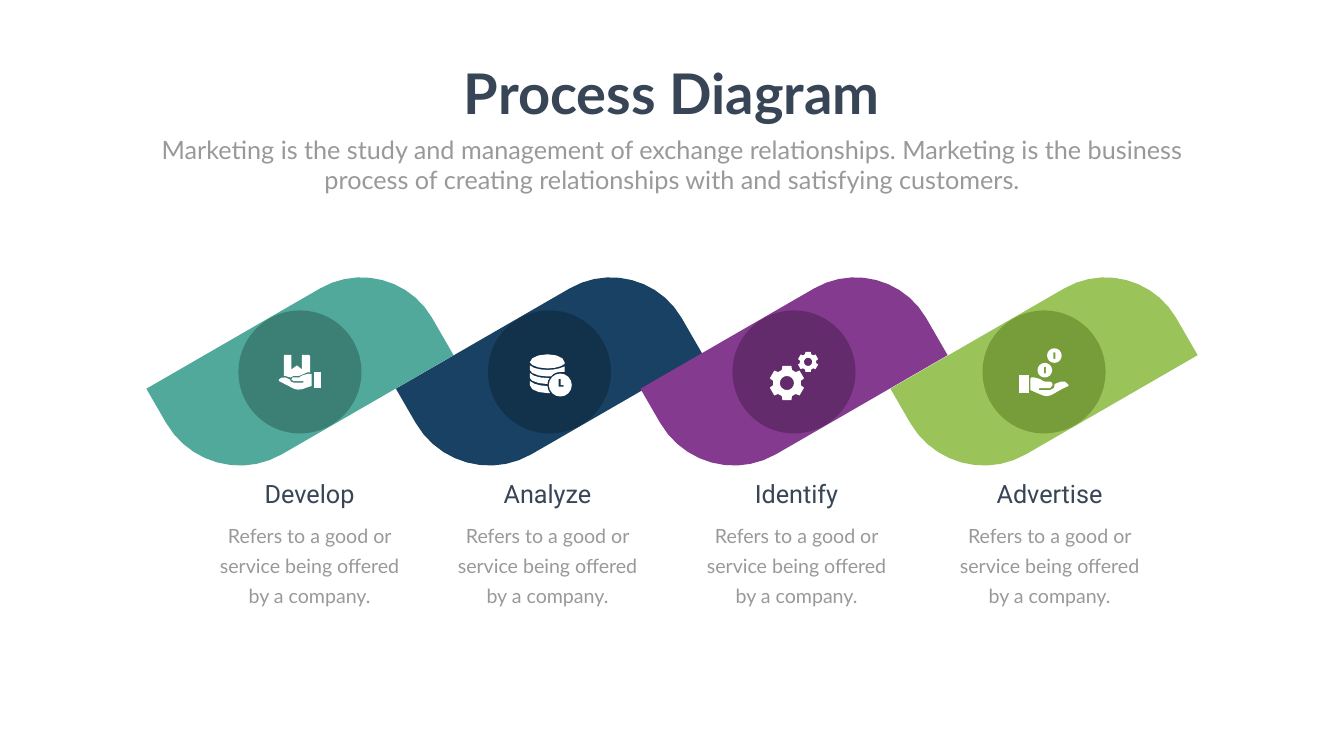
from collections import namedtuple
from dataclasses import dataclass
from math import cos, dist, pi, sin

from pptx import Presentation
from pptx.dml.color import RGBColor
from pptx.enum.shapes import MSO_SHAPE as Preset
from pptx.enum.text import MSO_ANCHOR as Anchor, MSO_AUTO_SIZE as AutoSize, PP_ALIGN as Align
from pptx.util import Inches, Pt


@dataclass(frozen=True)
class Theme:
    background: str = "FEFFFE"
    dark: str = "374556"
    grey: str = "999999"
    icon: str = "FFFFFF"
    text_font: str = "Lato"
    label_font: str = "Roboto"
    title_size: int = 80
    label_size: int = 36
    body_size: int = 28
    body_line: int = 43


THEME = Theme()
WIDTH, HEIGHT = 26.66, 15
UNIT = Inches(0.01)  # outlines are measured in hundredths of an inch
ROW, DISC = 7.38, 2.44  # centre line of the steps, size of their discs
Step = namedtuple("Step", "label centre text_centre leaf disc icon")


# Outlines: a pair is a line end, six numbers are a curve's controls and end
def trace(*moves):
    points = []
    for move in moves:
        if len(move) == 2:
            points.append(move)
            continue
        start, first, second, end = points[-1], move[:2], move[2:4], move[4:]
        parts = 2 + min(8, int(dist(start, end) / 20))
        for t in (part / parts for part in range(1, parts + 1)):
            weights = (1 - t) ** 3, 3 * t * (1 - t) ** 2, 3 * t * t * (1 - t), t ** 3
            points.append(tuple(sum(w * p[axis] for w, p in zip(weights, (start, first, second, end)))
                                for axis in (0, 1)))
    return points


def circle(x, y, radius):
    angles = [pi * part / 8 for part in range(16)]
    return [(x + radius * cos(a), y + radius * sin(a)) for a in angles]


def bar(left, top, right, bottom):
    return [(left, top), (right, top), (right, bottom), (left, bottom)]


def gear(x, y, radius):
    """Six equal teeth around a round hole."""
    size, rim = radius / 34, []
    for turn in range(6):
        c, s = cos(turn * pi / 3), sin(turn * pi / 3)
        rim += [(x + size * (c * px - s * py), y + size * (s * px + c * py))
                for px, py in ((-10, -26), (-9, -34), (9, -34), (10, -26))]
    return [rim, circle(x, y, 14 * size)]


def coin(x, y):
    return [circle(x, y, 14.5), bar(x - 2, y - 6.5, x + 2, y + 6.5)]


LEAF = trace((38, -280.5), (123.5, -280.5), (123.5, 113), (123.5, 206, 47, 280.5, -45, 280.5),
             (-123.5, 280.5), (-123.5, -118), (-123.5, -207, -51, -280.5, 38, -280.5))

# Icons: each part is a list of contours, centred on its disc
PACKAGE_IN_HAND = [
    [bar(27, 1, 41, 32)],
    [trace((18, -34), (4, -34), (4, -5), (-6, -13), (-17, -5), (-17, -34), (-31, -34), (-32, -32),
           (-32, 8), (-29, 8), (-19, 11), (-13, 8), (-2, 8), (14, 1), (20, 1), (20, -32))],
    [trace((23, 4), (15, 4), (9, 4, 3, 8, 1, 9), (-1, 11), (-15, 11), (-17, 15), (-13, 18), (6, 18),
           (8, 20), (6, 21), (-13, 21), (-17, 21, -20, 18, -20, 15), (-29, 11),
           (-35, 10, -38, 11, -42, 15), (-42, 18), (-35, 21, -29, 25, -24, 27),
           (-14, 33, -9, 35, -4, 35), (2, 35, 6, 34, 16, 30), (23, 28))],
]
DATABASE_CLOCK = [
    [trace((-4, 24), (-4, 20, -3, 15, 0, 12), (-4, 12), (-18, 12, -33, 9, -39, 2), (-39, 12),
           (-39, 17, -23, 24, -4, 24))],
    [trace((-4, 9), (3, 9), (7, 3, 14, 0, 22, 0), (30, 0), (30, -11), (22, -7, 9, -4, -4, -4),
           (-18, -4, -33, -7, -39, -13), (-39, -4), (-39, 2, -23, 9, -4, 9))],
    [trace((-4, -7), (11, -7, 25, -11, 30, -16), (30, -19), (30, -28, 15, -35, -4, -35),
           (-23, -35, -39, -28, -39, -19), (-39, -14, -23, -7, -4, -7))],
    [trace((-4, 28), (-18, 28, -33, 24, -39, 18), (-39, 26), (-39, 35, -23, 42, -4, 42),
           (1, 42), (-2, 37, -4, 33, -4, 28))],
    [circle(21.5, 26, 22.75), [(28, 29), (18, 29), (18, 14), (22, 14), (22, 26), (28, 26)]],
]
GEARS = [gear(-14, 22, 34), gear(28, -20, 20)]
COINS_ON_HAND = [
    [bar(-50, 7, -29, 42)],
    [trace((48, 25), (44, 19, 40, 18, 34, 19), (21, 24), (21, 29, 21, 36, 12, 36), (-9, 36),
           (-11, 34), (-9, 32), (12, 32), (17, 26), (17, 24, 16, 19, 12, 19), (1, 19), (-2, 18),
           (-4, 17, -10, 11, -19, 11), (-25, 11), (-27, 13), (-27, 36), (-11, 43),
           (-3, 47, 2, 48, 6, 48), (11, 48, 15, 46, 23, 41), (28, 38, 37, 33, 48, 28), (49, 26))],
    coin(20.5, -32.5),
    coin(1.5, -3.5),
]

STEPS = [
    Step("Develop", 5.95, 6.14, "50A99B", "3C7F74", PACKAGE_IN_HAND),
    Step("Analyze", 10.9, 10.86, "184163", "12314A", DATABASE_CLOCK),
    Step("Identify", 15.75, 15.8, "843A8E", "632B6B", GEARS),
    Step("Advertise", 20.71, 20.82, "9AC35A", "769D39", COINS_ON_HAND),
]


def paint(shape, color):
    shape.shadow.inherit = False
    shape.fill.solid()
    shape.fill.fore_color.rgb = RGBColor.from_string(color)
    shape.line.fill.background()


def add_outline(shapes, x, contours, color):
    """Fill closed contours around a point on the centre line."""
    placed = [[(Inches(x) + px * UNIT, Inches(ROW) + py * UNIT) for px, py in contour]
              for contour in contours]
    builder = shapes.build_freeform(*placed[0][0])
    for number, contour in enumerate(placed):
        if number:
            builder.move_to(*contour[0])
        builder.add_line_segments(contour[1:], close=True)
    shape = builder.convert_to_shape()
    paint(shape, color)
    return shape


def add_disc(page, step):
    disc = page.shapes.add_shape(Preset.OVAL, Inches(step.centre - DISC / 2), Inches(ROW - DISC / 2),
                                 Inches(DISC), Inches(DISC))
    paint(disc, step.disc)


def add_icon(page, step):
    group = page.shapes.add_group_shape()
    for contours in step.icon:
        add_outline(group.shapes, step.centre, contours, THEME.icon)


def write(box, text, font, size, color, bold=False, wrap=True):
    frame = box.text_frame
    frame.text = text
    frame.word_wrap, frame.auto_size = wrap, AutoSize.SHAPE_TO_FIT_TEXT
    frame.vertical_anchor = Anchor.TOP
    para = frame.paragraphs[0]
    para.alignment = Align.CENTER
    para.font.name, para.font.size, para.font.bold = font, Pt(size), bold
    para.font.color.rgb = RGBColor.from_string(color)
    return frame


def add_text(page, centre, top, width, height, *content):
    box = page.shapes.add_textbox(Inches(centre - width / 2), Inches(top), Inches(width), Inches(height))
    return write(box, *content)


def add_caption(page, step):
    frame = add_text(page, step.text_centre, 10.14, 4.4, 1.98,
                     "Refers to a good or service being offered by a company.",
                     THEME.text_font, THEME.body_size, THEME.grey)
    frame.margin_left = frame.margin_right = Inches(0.24)
    frame.margin_top = frame.margin_bottom = Inches(0.12)
    frame.paragraphs[0].line_spacing = Pt(THEME.body_line)
    add_text(page, step.text_centre, 9.44, 3.97, 0.71, step.label,
             THEME.label_font, THEME.label_size, THEME.dark)


def add_heading(page):
    title = page.shapes.title
    title.left, title.top = Inches((WIDTH - 8.63) / 2), Inches(1.12)
    title.width, title.height = Inches(8.63), Inches(1.45)
    write(title, "Process Diagram", THEME.text_font, THEME.title_size, THEME.dark, True, False)
    add_text(page, WIDTH / 2, 2.61, 20.82, 1.31,
             "Marketing is the study and management of exchange relationships. Marketing is "
             "the business process of creating relationships with and satisfying customers.",
             THEME.text_font, THEME.label_size, THEME.grey)


def main():
    deck = Presentation()
    deck.slide_width, deck.slide_height = Inches(WIDTH), Inches(HEIGHT)
    page = deck.slides.add_slide(deck.slide_layouts[5])
    page.background.fill.solid()
    page.background.fill.fore_color.rgb = RGBColor.from_string(THEME.background)
    # Tilted leaves go behind everything else
    for step in STEPS:
        add_outline(page.shapes, step.centre, [LEAF], step.leaf).rotation = 60
    for add_part in (add_disc, add_icon, add_caption):
        for step in STEPS:
            add_part(page, step)
    add_heading(page)
    deck.save("out.pptx")


if __name__ == "__main__":
    main()
